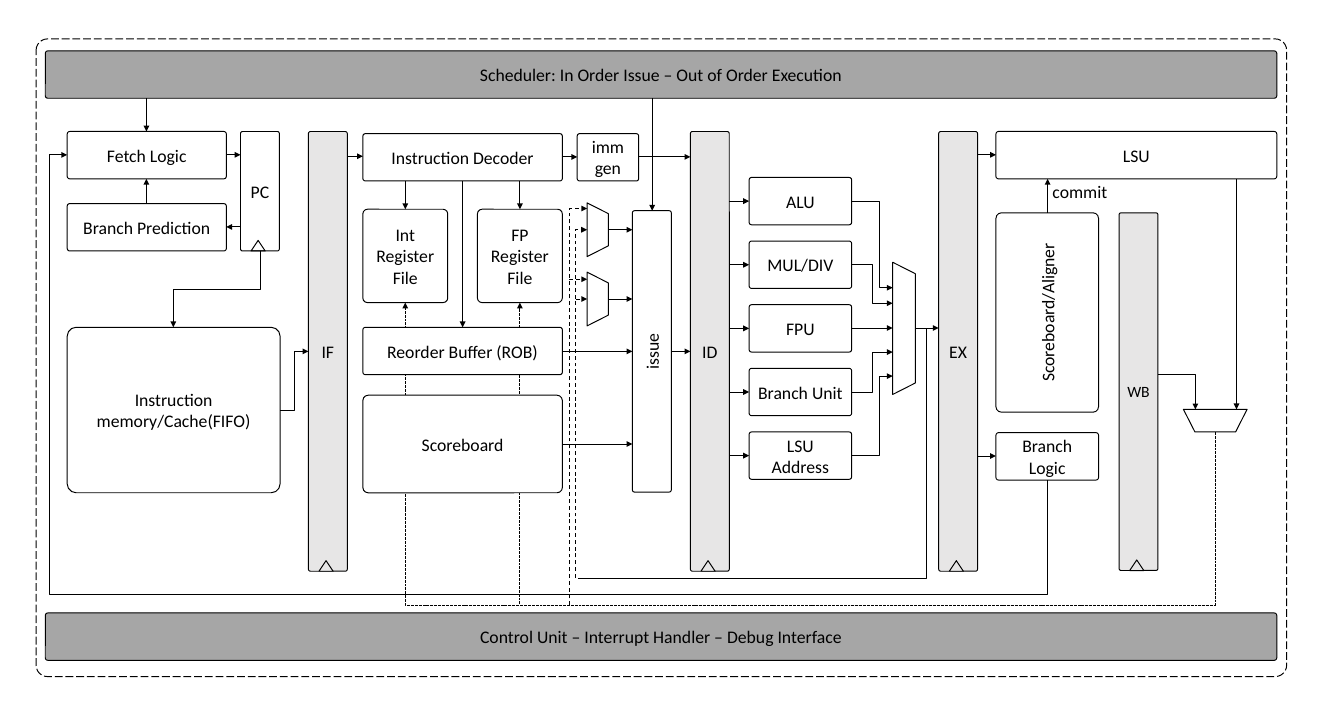
from pptx import Presentation
from pptx.dml.color import RGBColor
from pptx.enum.dml import MSO_LINE_DASH_STYLE as Dash
from pptx.enum.shapes import MSO_CONNECTOR as Conn, MSO_SHAPE as Geo
from pptx.enum.text import MSO_ANCHOR as Anchor, PP_ALIGN as Align
from pptx.oxml.ns import qn
from pptx.util import Inches, Pt
from lxml.etree import SubElement

COLORS = {"ink": "000000", "paper": "FFFFFF", "bar": "A6A6A6", "stage": "E7E6E6"}
FONT = "Calibri"

# Grid: column lefts, row tops and the repeated sizes, in inches
FETCH, DECODE, UNIT, COMMIT = 0.95, 5.13, 10.59, 14.08
TOP, ROW, STAGE_W, STAGE_H = 1.86, 0.67, 0.55, 6.22
UNIT_W, UNIT_TOP, UNIT_STEP = 1.45, 2.51, 0.9
DECODE_W, REGISTER_W, BAR_W = 2.82, 1.2, 17.41
INT_X, FP_X = 5.73, 7.35
RESULT_Y, RETIRE_Y, REDIRECT_Y = 8.18, 8.56, 8.41
EX_BUS, WB_BUS = 8.13, 8.05

# Blocks: key: (text, left, top, width, height, fill)
BLOCKS = {
    "scheduler": ("Scheduler: In Order Issue – Out of Order Execution", 0.64, 0.72, BAR_W, ROW, "bar"),
    "control": ("Control Unit – Interrupt Handler – Debug Interface", 0.64, 8.67, BAR_W, ROW, "bar"),
    "fetch": ("Fetch Logic", FETCH, TOP, 2.25, ROW, None),
    "predict": ("Branch Prediction", FETCH, 2.88, 2.25, ROW, None),
    "pc": ("PC", 3.4, TOP, STAGE_W, 1.69, None),
    "memory": ("Instruction memory/Cache(FIFO)", FETCH, 4.63, 3.01, 2.34, None),
    "if": ("IF", 4.36, TOP, STAGE_W, STAGE_H, "stage"),
    "decoder": ("Instruction Decoder", DECODE, 1.89, DECODE_W, ROW, None),
    "int": ("Int\nRegister File", DECODE, 2.96, REGISTER_W, 1.32, None),
    "fp": ("FP\nRegister File", 6.75, 2.96, REGISTER_W, 1.32, "paper"),
    "rob": ("Reorder Buffer (ROB)", DECODE, 4.63, DECODE_W, ROW, "paper"),
    "scoreboard": ("Scoreboard", DECODE, 5.59, DECODE_W, 1.38, "paper"),
    "imm": ("imm gen", 8.16, 1.89, 0.87, ROW, None),
    "issue": ("issue", 8.94, 2.98, STAGE_W, 3.98, None),
    "id": ("ID", 9.76, TOP, STAGE_W, STAGE_H, "stage"),
    "ex": ("EX", 13.27, TOP, STAGE_W, STAGE_H, "stage"),
    "lsu": ("LSU", COMMIT, TOP, 3.97, ROW, "paper"),
    "aligner": ("Scoreboard/Aligner", COMMIT, 3.01, UNIT_W, 2.82, None),
    "branch": ("Branch Logic", COMMIT, 6.12, UNIT_W, ROW, None),
    "wb": ("WB", 15.82, 3.01, STAGE_W, 5.06, "stage"),
}
UNITS = ["ALU", "MUL/DIV", "FPU", "Branch Unit", "LSU\nAddress"]
for i, unit in enumerate(UNITS):
    BLOCKS[unit] = (unit, UNIT, UNIT_TOP + i * UNIT_STEP, UNIT_W, ROW, None)
UPRIGHT = {"issue", "aligner"}
CLOCKED = ["pc", "if", "id", "ex", "wb"]

# Multiplexers: key: (left, top, width, height, rotation)
MUXES = {
    "operand a": (8.3, 2.87, 0.3, 0.76, 90),
    "operand b": (8.3, 3.85, 0.3, 0.76, 90),
    "result": (12.62, 3.71, 0.32, 1.87, 90),
    "write back": (16.73, 5.79, 0.9, 0.32, 180),
}

# Straight arrows between facing edges: (from, to, shared y or x)
ACROSS = [
    ("fetch", "pc", 2.19), ("pc", "predict", 3.21), ("if", "decoder", 2.21),
    ("decoder", "imm", 2.22), ("imm", "id", 2.22), ("rob", "issue", 4.97),
    ("scoreboard", "issue", 6.28), ("issue", "id", 4.97), ("operand a", "issue", 3.25),
    ("operand b", "issue", 4.23), ("FPU", "result", 4.64), ("result", "ex", 4.64),
    ("ex", "lsu", 2.19), ("ex", "branch", 6.45),
] + [("id", unit, UNIT_TOP + i * UNIT_STEP + ROW / 2) for i, unit in enumerate(UNITS)]
DOWN = [
    ("scheduler", "fetch", 2.07), ("scheduler", "issue", 9.22), ("predict", "fetch", 2.07),
    ("decoder", "int", INT_X), ("decoder", "fp", FP_X), ("decoder", "rob", 6.54),
    ("aligner", "lsu", 14.81), ("lsu", "write back", 17.48),
]

# Unit results into the result mux: unit, turn x, entry y
RESULTS = [("ALU", 12.44, 4.07), ("MUL/DIV", 12.33, 4.29),
           ("Branch Unit", 12.33, 4.98), ("LSU\nAddress", 12.43, 5.32)]

# Bent wires: corner points, dash, arrowhead
BACKGROUND = [([(17.18, 6.11), (17.18, RETIRE_Y), (x, RETIRE_Y), (x, 4.28)], Dash.SQUARE_DOT, True)
              for x in (INT_X, FP_X)]
ROUTES = [
    ([(3.68, 3.55), (3.68, 4.09), (2.45, 4.09), (2.45, 4.63)], None, True),
    ([(3.96, 5.8), (4.16, 5.8), (4.16, 4.97), (4.36, 4.97)], None, True),
    ([(14.81, 6.79), (14.81, REDIRECT_Y), (0.7, REDIRECT_Y), (0.7, 2.19), (FETCH, 2.19)], None, True),
    ([(13.1, 4.64), (13.1, RESULT_Y), (8.22, RESULT_Y)], None, False),
    ([(8.22, RESULT_Y), (EX_BUS, RESULT_Y), (EX_BUS, 4.23), (8.3, 4.23)], Dash.DASH, True),
    ([(EX_BUS, 4.23), (EX_BUS, 3.25), (8.3, 3.25)], Dash.DASH, True),
    ([(WB_BUS, RETIRE_Y), (WB_BUS, 2.95), (8.3, 2.95)], Dash.DASH, True),
    ([(WB_BUS, 3.95), (8.3, 3.95)], Dash.DASH, True),
    ([(16.37, 5.3), (16.9, 5.3), (16.9, 5.79)], None, True),
]

prs = Presentation()
prs.slide_width, prs.slide_height = Inches(19), Inches(10)
shapes = prs.slides.add_slide(prs.slide_layouts[6]).shapes


def color(name):
    return RGBColor.from_string(COLORS[name])


def write(frame, text, size=18, align=Align.CENTER, anchor=Anchor.MIDDLE, wrap=True):
    frame.word_wrap, frame.vertical_anchor = wrap, anchor
    for n, line in enumerate(text.split("\n")):
        para = frame.add_paragraph() if n else frame.paragraphs[0]
        para.alignment = align
        run = para.add_run()
        run.text = line
        run.font.size, run.font.name = Pt(size), FONT
        run.font.color.rgb = color("ink")


def draw(geo, left, top, width, height, fill=None, adjust=None, rotation=0):
    """Draw a shape whose box is given as seen after rotation."""
    if rotation % 180:
        left, top = left + (width - height) / 2, top + (height - width) / 2
        width, height = height, width
    shape = shapes.add_shape(geo, *map(Inches, (left, top, width, height)))
    shape.shadow.inherit = False
    shape.rotation = rotation
    if adjust is not None:
        shape.adjustments[0] = adjust
    if fill:
        shape.fill.solid()
        shape.fill.fore_color.rgb = color(fill)
    else:
        shape.fill.background()
    shape.line.color.rgb, shape.line.width = color("ink"), Pt(1)
    return shape


def wire(points, dash=None, arrow=True):
    """Join corner points by one straight or elbow connector."""
    (x1, y1), (x2, y2) = start, end = points[0], points[-1]
    bends = len(points) - 1
    vertical = bends > 1 and points[1][0] == x1
    if vertical:  # elbows start sideways, so turn the box a quarter
        cx, cy, dx, dy = (x1 + x2) / 2, (y1 + y2) / 2, x2 - x1, y2 - y1
        x1, y1, x2, y2 = cx - dy / 2, cy + dx / 2, cx + dy / 2, cy - dx / 2
    line = shapes.add_connector(Conn.ELBOW if bends > 1 else Conn.STRAIGHT,
                                *map(Inches, (x1, y1, x2, y2)))
    props = line._element.spPr
    if vertical:
        props.find(qn("a:xfrm")).set("rot", "5400000")
    if bends > 1:
        geometry = props.find(qn("a:prstGeom"))
        geometry.set("prst", f"bentConnector{bends}")
        guides = geometry.find(qn("a:avLst"))
        for n in range(1, bends - 1):
            axis = (n - 1 + vertical) % 2
            share = (points[n][axis] - start[axis]) / (end[axis] - start[axis])
            SubElement(guides, qn("a:gd"), name=f"adj{n}", fmla=f"val {round(share * 100000)}")
    line.line.color.rgb, line.line.width = color("ink"), Pt(1)
    if dash:
        line.line.dash_style = dash
    if arrow:
        SubElement(props.find(qn("a:ln")), qn("a:tailEnd"), type="triangle")
    SubElement(props, qn("a:effectLst"))


# Register write-back wires run behind the blocks
for route in BACKGROUND:
    wire(*route)

# Blocks, clock marks and multiplexers
for key, (text, *box, fill) in BLOCKS.items():
    block = draw(Geo.ROUNDED_RECTANGLE, *box, fill, 0.054, 270 if key in UPRIGHT else 0)
    write(block.text_frame, text, size=16 if key == "wb" else 18)
for key in CLOCKED:
    _, left, top, width, height, fill = BLOCKS[key]
    draw(Geo.ISOSCELES_TRIANGLE, left + 0.15, top + height - 0.15, 0.2, 0.15, fill)
for *box, turn in MUXES.values():
    draw(Geo.TRAPEZOID, *box, "paper", 0.507, turn)

# Wires
PLACES = {key: block[1:5] for key, block in BLOCKS.items()}
PLACES.update({key: mux[:4] for key, mux in MUXES.items()})
for links, axis in ((ACROSS, 0), (DOWN, 1)):
    for source, target, level in links:
        a, b = PLACES[source], PLACES[target]
        forward = a[axis] < b[axis]
        ends = (a[axis] + forward * a[axis + 2], b[axis] + (not forward) * b[axis + 2])
        wire([(e, level) if axis == 0 else (level, e) for e in ends])
for unit, turn, entry in RESULTS:
    left, top, width, height = PLACES[unit]
    middle = top + height / 2
    wire([(left + width, middle), (turn, middle), (turn, entry), (12.62, entry)])
for route in ROUTES:
    wire(*route)

# Commit label and outer frame
label = shapes.add_textbox(*map(Inches, (14.78, 2.51, 0.99, 0.4)))
write(label.text_frame, "commit", align=Align.LEFT, anchor=Anchor.TOP, wrap=False)
frame = draw(Geo.ROUNDED_RECTANGLE, 0.51, 0.55, 17.68, 9.02, adjust=0.018)
frame.line.dash_style = Dash.LONG_DASH

prs.save("out.pptx")
